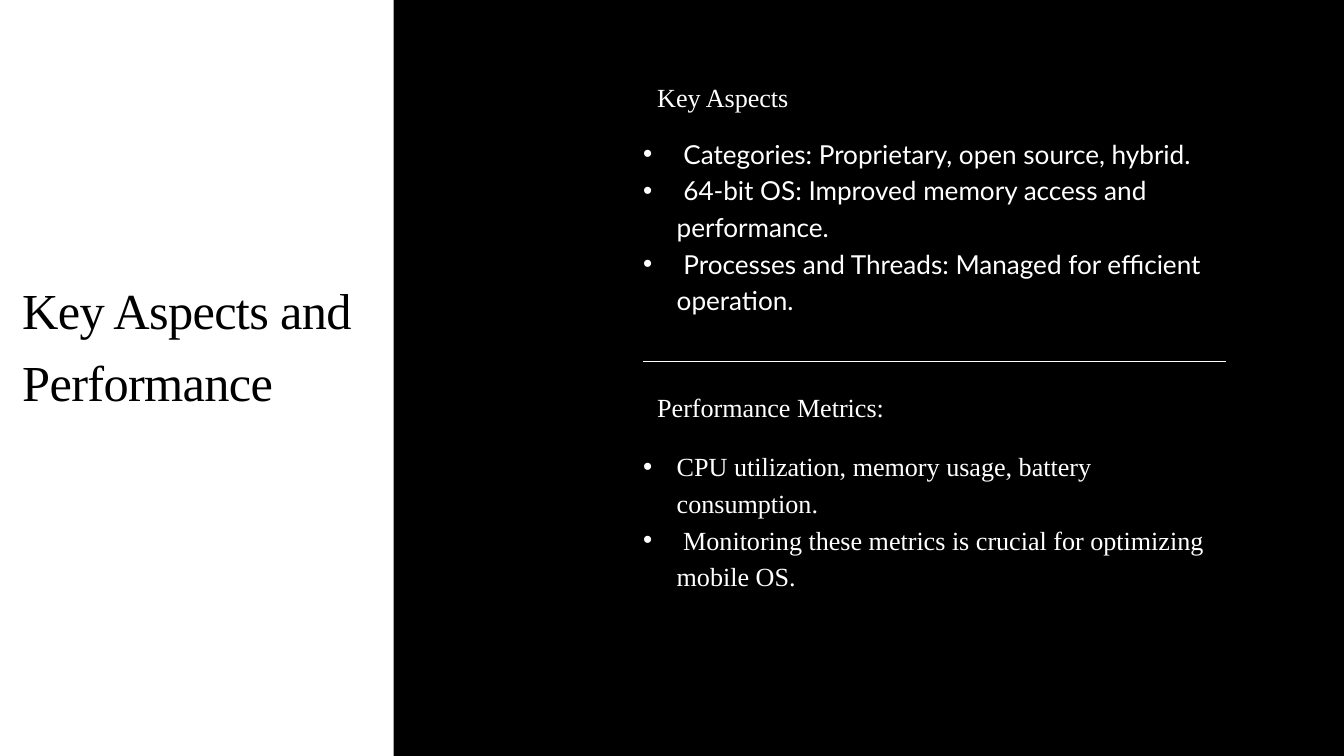
import pptx
import pptx.dml.color
import pptx.enum.shapes
import pptx.enum.text
import pptx.oxml.ns
import pptx.util
from lxml import etree
from pptx.util import Inches

BLACK = pptx.dml.color.RGBColor(0, 0, 0)
WHITE = pptx.dml.color.RGBColor(255, 255, 255)
SERIF = "Times New Roman"
qn = pptx.oxml.ns.qn


def set_frame(shape, box):
    shape.left, shape.top, shape.width, shape.height = [Inches(n) for n in box]
    frame = shape.text_frame
    frame.margin_left = frame.margin_top = 0
    frame.margin_right = frame.margin_bottom = 0
    frame.word_wrap = True
    frame.auto_size = pptx.enum.text.MSO_AUTO_SIZE.SHAPE_TO_FIT_TEXT
    frame.vertical_anchor = pptx.enum.text.MSO_ANCHOR.TOP
    return frame


def set_text(par, text, face, size, color, pitch):
    par.text = text
    par.alignment = pptx.enum.text.PP_ALIGN.LEFT
    par.line_spacing = pptx.util.Pt(pitch)
    par.font.name = face
    par.font.size = pptx.util.Pt(size)
    par.font.color.rgb = color


deck = pptx.Presentation()
deck.slide_width = Inches(20)
deck.slide_height = Inches(11.25)
slide = deck.slides.add_slide(deck.slide_layouts[5])
slide.background.fill.solid()
slide.background.fill.fore_color.rgb = BLACK

panel = slide.shapes.add_shape(
    pptx.enum.shapes.MSO_SHAPE.RECTANGLE, 0, 0, Inches(5.86), deck.slide_height)
panel.shadow.inherit = False
panel.fill.solid()
panel.fill.fore_color.rgb = WHITE
panel.line.fill.background()

title = slide.shapes.title
panel._element.addnext(title._element)
frame = set_frame(title, (0.33, 3.99, 5.53, 3.17))
set_text(frame.paragraphs[0], "Key Aspects and Performance", SERIF, 54, BLACK, 77)
frame.paragraphs[0].runs[0].font._element.set("spc", "-70")

rule = slide.shapes.add_connector(
    pptx.enum.shapes.MSO_CONNECTOR.STRAIGHT,
    Inches(9.57), Inches(5.38), Inches(18.25), Inches(5.38))
rule.line.color.rgb = WHITE
rule.line.width = pptx.util.Pt(0.75)
etree.SubElement(rule._element.spPr, qn("a:effectLst"))

heads = [
    ("Key Aspects", (9.78, 1.13, 8.68, 0.53)),
    ("Performance Metrics:", (9.78, 5.74, 8.68, 0.53)),
]
for text, box in heads:
    frame = set_frame(slide.shapes.add_textbox(0, 0, 0, 0), box)
    set_text(frame.paragraphs[0], text, SERIF, 28, WHITE, 39.2)

lists = [
    ("Lato", (9.57, 1.98, 9.18, 2.7), [
        " Categories: Proprietary, open source, hybrid.",
        " 64-bit OS: Improved memory access and performance.",
        " Processes and Threads: Managed for efficient operation.",
    ]),
    (SERIF, (9.57, 6.63, 8.68, 2.15), [
        "CPU utilization, memory usage, battery consumption.",
        " Monitoring these metrics is crucial for optimizing mobile OS.",
    ]),
]
for face, box, items in lists:
    frame = set_frame(slide.shapes.add_textbox(0, 0, 0, 0), box)
    for i, item in enumerate(items):
        par = frame.add_paragraph() if i else frame.paragraphs[0]
        props = par._p.get_or_add_pPr()
        props.set("marL", str(Inches(0.5)))
        props.set("indent", str(Inches(-0.5)))
        etree.SubElement(props, qn("a:buFont"), typeface="Arial")
        etree.SubElement(props, qn("a:buChar"), char="•")
        set_text(par, item, face, 28, WHITE, 39.2)

deck.save("out.pptx")
